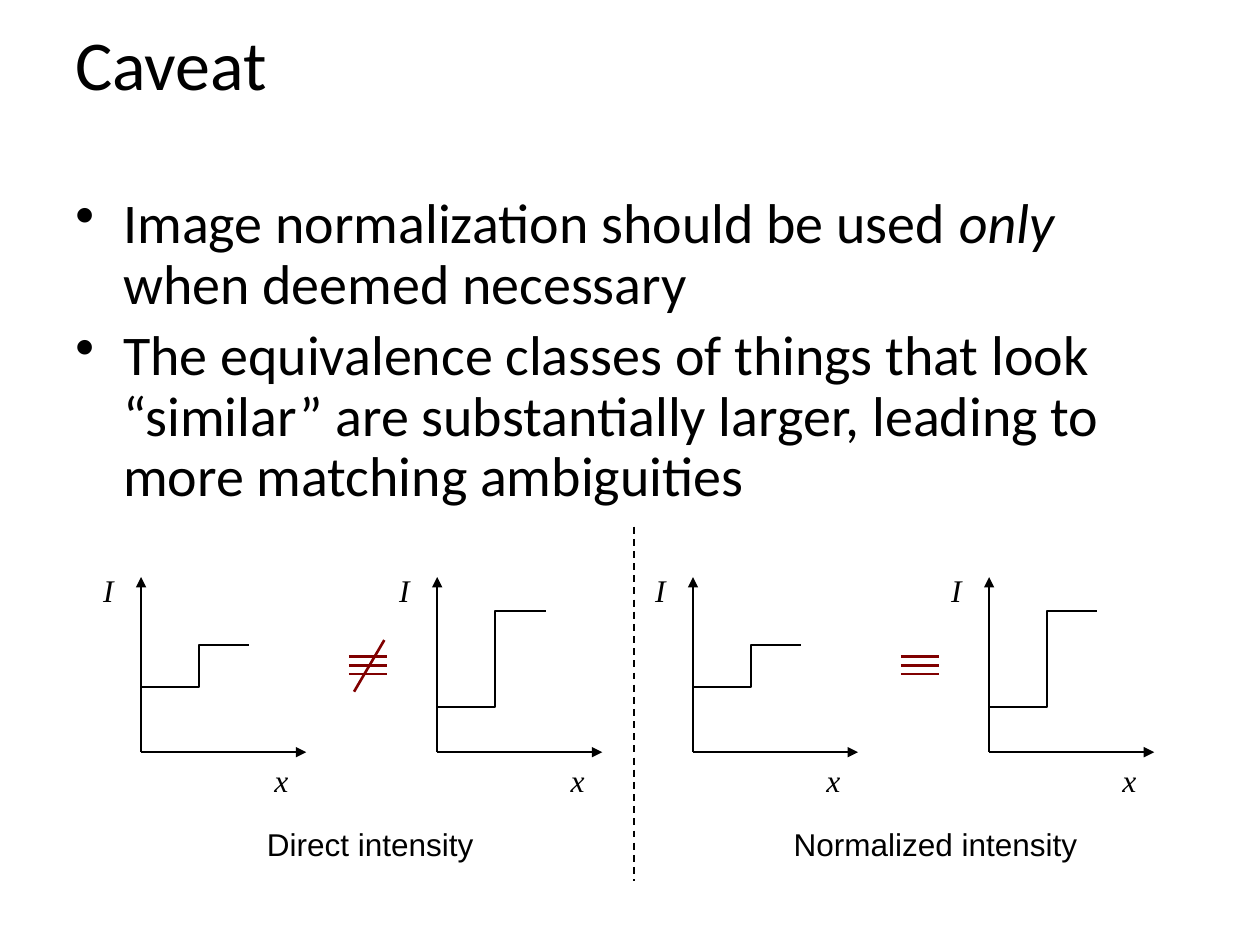
from dataclasses import dataclass

from pptx import Presentation
from pptx.dml.color import RGBColor
from pptx.enum.dml import MSO_LINE_DASH_STYLE as Dash
from pptx.enum.shapes import MSO_CONNECTOR as Connector
from pptx.enum.text import MSO_ANCHOR as Anchor, MSO_AUTO_SIZE as AutoSize
from pptx.oxml.xmlchemy import OxmlElement
from pptx.util import Inches, Pt


@dataclass(frozen=True)
class Theme:
    ink: RGBColor = RGBColor(0x00, 0x00, 0x00)
    accent: RGBColor = RGBColor(0x80, 0x00, 0x00)
    main_font: str = "Calibri"
    math_font: str = "Times New Roman"
    caption_font: str = "Arial"
    title_size: int = 40
    body_size: int = 32
    label_size: int = 18
    thin: float = 1
    thick: float = 1.5


def add_span(para, text, *, font, size, color, italic=False):
    span = para.add_run()
    span.text = text
    span.font.name = font
    span.font.size = Pt(size)
    span.font.color.rgb = color
    span.font.italic = italic
    return span


class PageBuilder:
    def __init__(self, page, theme):
        self.page = page
        self.theme = theme

    def text_frame(self, left, top, width, height, wrap=True):
        box = self.page.shapes.add_textbox(
            Inches(left), Inches(top), Inches(width), Inches(height))
        box.text_frame.word_wrap = wrap
        return box.text_frame

    def title(self, text):
        frame = self.text_frame(0.5, 0, 9, 1)
        frame.vertical_anchor = Anchor.MIDDLE
        add_span(frame.paragraphs[0], text, font=self.theme.main_font,
                 size=self.theme.title_size, color=self.theme.ink)

    def bullets(self, items):
        """Each item is a list of (text, italic) pairs."""
        frame = self.text_frame(0.5, 1.5, 9, 2.71)
        for index, item in enumerate(items):
            para = frame.add_paragraph() if index else frame.paragraphs[0]
            props = para._p.get_or_add_pPr()
            props.set("marL", str(Inches(0.38)))
            props.set("indent", str(-Inches(0.38)))
            bullet = OxmlElement("a:buChar")
            bullet.set("char", "•")
            props.append(bullet)
            para.line_spacing = 0.9
            if index:
                para.space_before = Pt(0.2 * self.theme.body_size)
            for text, italic in item:
                add_span(para, text, font=self.theme.main_font, italic=italic,
                         size=self.theme.body_size, color=self.theme.ink)

    def label(self, text, left, top, width, font, italic=False):
        frame = self.text_frame(left, top, width, 0.4, wrap=False)
        frame.auto_size = AutoSize.SHAPE_TO_FIT_TEXT
        add_span(frame.paragraphs[0], text, font=font, italic=italic,
                 size=self.theme.label_size, color=self.theme.ink)

    def line(self, start, end, *, color=None, weight=None, dash=None,
             arrow=False, parent=None):
        shapes = (parent or self.page).shapes
        line = shapes.add_connector(
            Connector.STRAIGHT, *(Inches(value) for value in (*start, *end)))
        line.line.color.rgb = color or self.theme.ink
        line.line.width = Pt(weight or self.theme.thin)
        if dash:
            line.line.dash_style = dash
        if arrow:
            tail = OxmlElement("a:tailEnd")
            tail.set("type", "triangle")
            line.line._get_or_add_ln().append(tail)
        line._element.spPr.append(OxmlElement("a:effectLst"))

    def step(self, points):
        start, *rest = [(Inches(x), Inches(y)) for x, y in points]
        builder = self.page.shapes.build_freeform(*start)
        builder.add_line_segments(rest, close=False)
        curve = builder.convert_to_shape()
        curve.shadow.inherit = False
        curve.fill.background()
        curve.line.color.rgb = self.theme.ink
        curve.line.width = Pt(self.theme.thin)

    def step_plot(self, x, y, low, high):
        """Axes from the origin (x, y) with an intensity step low to high."""
        self.line((x, y), (x + 1.31, y), arrow=True)
        self.line((x, y), (x, y - 1.39), arrow=True)
        self.step([(x, y - low), (x + 0.46, y - low),
                   (x + 0.46, y - high), (x + 0.86, y - high)])
        font = self.theme.math_font
        self.label("x", x + 0.96, y + 0.02, 0.31, font, italic=True)
        self.label("I", x - 0.4, y - 1.49, 0.28, font, italic=True)

    def equivalence(self, x, y):
        sign = self.page.shapes.add_group_shape()
        for row in range(3):
            bar_y = y + 0.07 * row
            self.line((x, bar_y), (x + 0.3, bar_y), parent=sign,
                      color=self.theme.accent, weight=self.theme.thick)


def main():
    deck = Presentation()
    deck.slide_width, deck.slide_height = Inches(10), Inches(7.5)
    theme = Theme()
    page = PageBuilder(deck.slides.add_slide(deck.slide_layouts[6]), theme)

    # Title and bullets
    page.title("Caveat")
    page.bullets([
        [("Image normalization should be used ", False), ("only", True),
         (" when deemed necessary", False)],
        [("The equivalence classes of things that look “similar” are "
          "substantially larger, leading to more matching ambiguities", False)],
    ])

    # Divider between the two cases
    page.line((5.03, 4.18), (5.03, 6.99), dash=Dash.DASH)

    # Weak and strong step on each side, with the sign between them
    for left in (1.12, 5.5):
        page.step_plot(left, 5.97, low=0.52, high=0.85)
        page.step_plot(left + 2.35, 5.97, low=0.36, high=1.12)
        page.equivalence(left + 1.65, 5.21)

    # Captions
    page.label("Direct intensity", 2.02, 6.5, 1.84, theme.caption_font)
    page.label("Normalized intensity", 6.2, 6.5, 2.45, theme.caption_font)

    # Stroke that negates the left sign
    page.line((3.05, 5.08), (2.81, 5.49),
              color=theme.accent, weight=theme.thick)

    deck.save("out.pptx")


if __name__ == "__main__":
    main()
